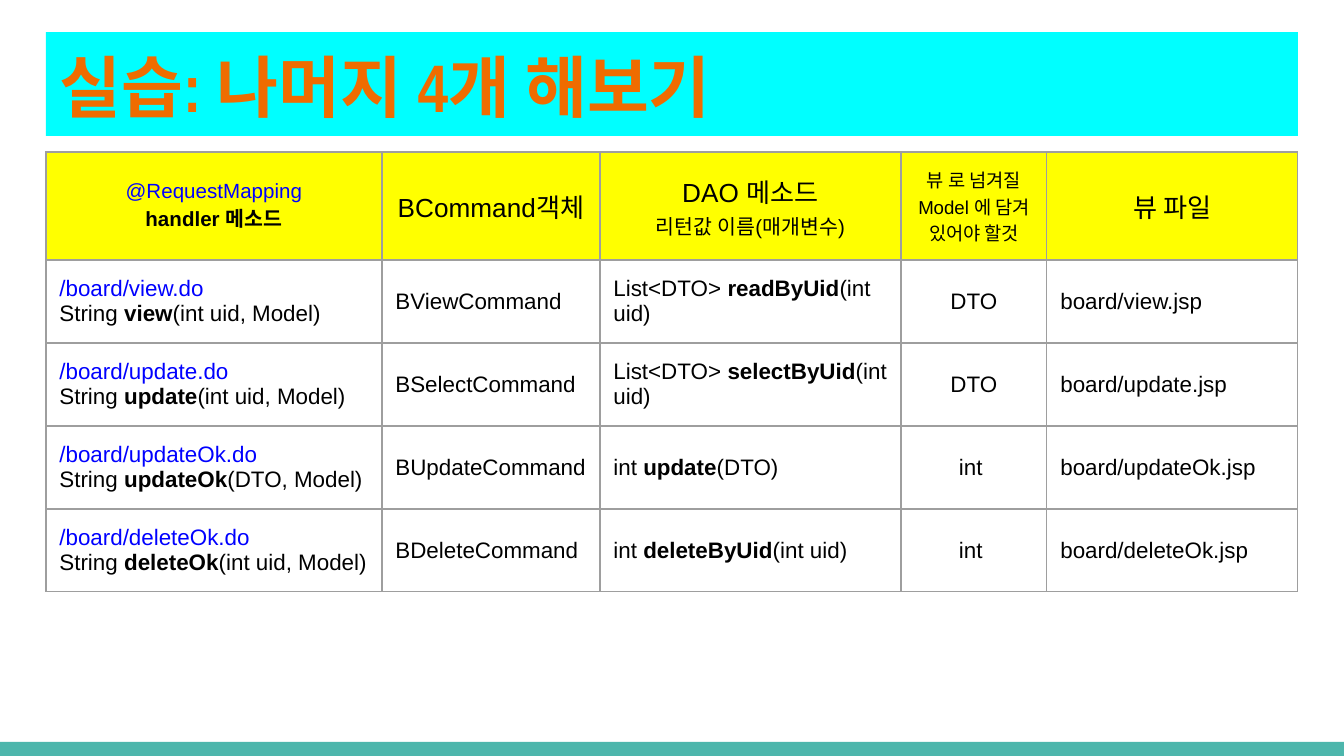
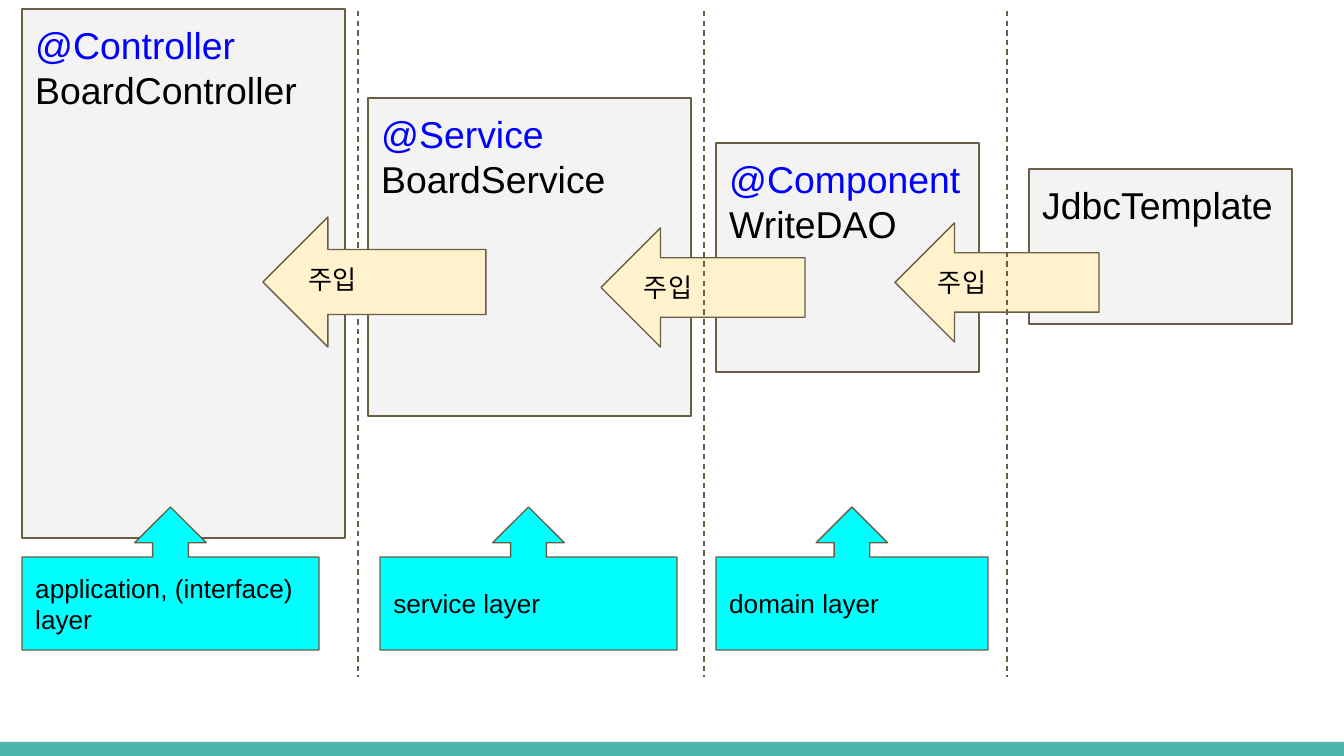
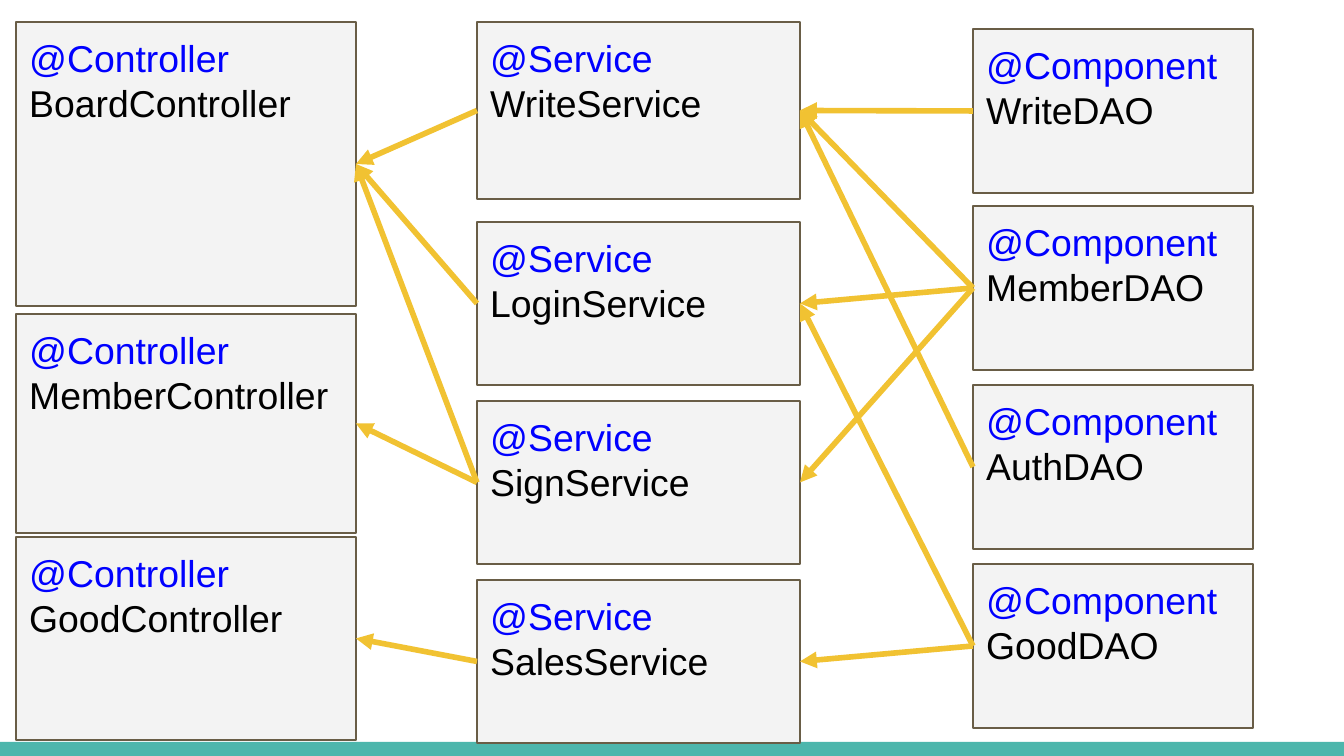
from copy import deepcopy

from pptx import Presentation, util as u
from pptx.dml.color import RGBColor
from pptx.enum import dml, shapes, text
from pptx.oxml import parse_xml
from pptx.oxml.ns import nsdecls, qn

SCALE = 914400 / 134.4
WIDTH, HEIGHT = 1344, 756
INSET = u.Inches(0.1)
FONT, TITLE_FONT = "Arial", "Arial Narrow"
COLORS = {
    "band": "4DB6AC", "cyan": "00FFFF", "yellow": "FFFF00", "title": "EF6C00",
    "blue": "0000FF", "black": "000000", "grid": "9E9E9E", "panel": "F3F3F3",
    "cream": "FFF2CC", "outline": "695D46", "gold": "F1C232",
}
SHAPE = shapes.MSO_SHAPE
TOP, MIDDLE = text.MSO_ANCHOR.TOP, text.MSO_ANCHOR.MIDDLE
LEFT, CENTER = text.PP_ALIGN.LEFT, text.PP_ALIGN.CENTER
LEFT_SIDE, RIGHT_SIDE = 1, 3


def px(length):
    return u.Emu(round(length * SCALE))


def place(box):
    return [px(length) for length in box]


def rgb(name):
    return RGBColor.from_string(COLORS[name])


def add_span(para, words, size, color="black", bold=False, font=FONT):
    span = para.add_run()
    span.text = words
    span.font.size = u.Pt(size)
    span.font.bold = bold
    span.font.color.rgb = rgb(color)
    span.font.name = font
    return span


def use_font_for_korean(span):
    span._r.rPr.append(parse_xml(
        f'<a:ea {nsdecls("a")} typeface="{span.font.name}"/>'))


def break_line(para, span):
    """Break the line at the size of the span before it."""
    para.add_line_break()
    para._p[-1].append(deepcopy(span._r.rPr))


def set_insets(holder):
    for side in ("left", "right", "top", "bottom"):
        setattr(holder, f"margin_{side}", INSET)


def prepare_frame(frame, anchor):
    set_insets(frame)
    frame.word_wrap = True
    frame.auto_size = text.MSO_AUTO_SIZE.NONE
    frame.vertical_anchor = anchor


def add_paragraphs(frame, lines, align=LEFT):
    """Write lines given as (words, size, color, bold), one per paragraph."""
    for index, line in enumerate(lines):
        para = frame.add_paragraph() if index else frame.paragraphs[0]
        para.alignment = align
        add_span(para, *line)


def add_figure(page, kind, box, fill, lines, anchor=TOP):
    figure = page.shapes.add_shape(kind, *place(box))
    figure.shadow.inherit = False
    figure.fill.solid()
    figure.fill.fore_color.rgb = rgb(fill)
    figure.line.color.rgb = rgb("outline")
    figure.line.width = u.Pt(0.75)
    prepare_frame(figure.text_frame, anchor)
    add_paragraphs(figure.text_frame, lines)
    for para in figure.text_frame.paragraphs:
        for span in para.runs:
            use_font_for_korean(span)
    return figure


def add_class_box(page, box, name, annotation=None):
    lines = [(name, 20, "black")]
    if annotation:
        lines.insert(0, (annotation, 20, "blue"))
    return add_figure(page, SHAPE.RECTANGLE, box, "panel", lines)


def add_line(page, ends, color, width):
    line = page.shapes.add_connector(shapes.MSO_CONNECTOR.STRAIGHT, *place(ends))
    line.line.color.rgb = rgb(color)
    line.line.width = u.Pt(width)
    line.element.spPr.append(parse_xml(f'<a:effectLst {nsdecls("a")}/>'))
    return line


def add_divider(page, x):
    line = add_line(page, (x, 11, x, 677), "outline", 0.75)
    line.line.dash_style = dml.MSO_LINE.DASH


def link(page, source, target):
    """Point an arrow from the left side of source to the right side of target."""
    arrow = add_line(page, (0, 0, 0, 0), "gold", 3)
    arrow.begin_connect(source, LEFT_SIDE)
    arrow.end_connect(target, RIGHT_SIDE)
    outline = arrow.element.spPr.find(qn("a:ln"))
    outline.append(parse_xml(f'<a:tailEnd {nsdecls("a")} type="triangle"/>'))


def add_master_band(deck, page):
    band = page.shapes.add_shape(SHAPE.RECTANGLE, *place((0, 742, WIDTH, 14)))
    band.shadow.inherit = False
    band.fill.solid()
    band.fill.fore_color.rgb = rgb("band")
    band.line.fill.background()
    deck.slide_master.shapes.element.insert(2, band.element)


def fill_title(page, box, words):
    title = page.shapes.title
    title.left, title.top, title.width, title.height = place(box)
    title.fill.solid()
    title.fill.fore_color.rgb = rgb("cyan")
    prepare_frame(title.text_frame, TOP)
    para = title.text_frame.paragraphs[0]
    para.alignment = LEFT
    use_font_for_korean(add_span(para, words, 36, "title", True, TITLE_FONT))


def style_cell(cell, fill=None):
    set_insets(cell)
    cell.vertical_anchor = MIDDLE
    properties = cell._tc.get_or_add_tcPr()
    for index, side in enumerate("LRTB"):
        properties.insert(index, parse_xml(
            f'<a:ln{side} {nsdecls("a")} w="{u.Pt(0.75)}"><a:solidFill>'
            f'<a:srgbClr val="{COLORS["grid"]}"/></a:solidFill></a:ln{side}>'))
    if fill:
        cell.fill.solid()
        cell.fill.fore_color.rgb = rgb(fill)
    else:
        cell.fill.background()


def write_signature(para, result, method, arguments):
    add_span(para, result + " ", 12)
    add_span(para, method, 12, bold=True)
    add_span(para, f"({arguments})", 12)


def add_mapping_table(page, left, top):
    headers = [
        [("@RequestMapping", 11, "blue"), ("handler 메소드", 11, "black", True)],
        [("BCommand객체", 14)],
        [("DAO 메소드", 14), ("리턴값 이름(매개변수)", 11)],
        [("뷰 로 넘겨질", 10), ("Model 에 담겨 있어야 할것", 10)],
        [("뷰 파일", 14)],
    ]
    mappings = [
        ("view", "int uid, Model", "BViewCommand",
         ("List<DTO>", "readByUid", "int uid"), "DTO"),
        ("update", "int uid, Model", "BSelectCommand",
         ("List<DTO>", "selectByUid", "int uid"), "DTO"),
        ("updateOk", "DTO, Model", "BUpdateCommand",
         ("int", "update", "DTO"), "int "),
        ("deleteOk", "int uid, Model", "BDeleteCommand",
         ("int", "deleteByUid", "int uid"), "int "),
    ]
    widths = (336, 218, 301, 146, 251)
    heights = [108] + [83] * len(mappings)
    table = page.shapes.add_table(len(heights), len(widths), *place(
        (left, top, sum(widths), sum(heights)))).table
    table.first_row = table.horz_banding = False
    for column, width in zip(table.columns, widths):
        column.width = px(width)
    for row, height in zip(table.rows, heights):
        row.height = px(height)

    for column, lines in enumerate(headers):
        cell = table.cell(0, column)
        style_cell(cell, "yellow")
        add_paragraphs(cell.text_frame, lines, CENTER)

    for row, (name, arguments, command, dao, model) in enumerate(mappings, 1):
        cells = list(table.rows[row].cells)
        for cell in cells:
            style_cell(cell)
        handler, command_para, dao_para, model_para, view = (
            cell.text_frame.paragraphs[0] for cell in cells)
        break_line(handler, add_span(handler, f"/board/{name}.do", 12, "blue"))
        write_signature(handler, "String", name, arguments)
        add_span(command_para, command, 12)
        write_signature(dao_para, *dao)
        model_para.alignment = CENTER
        add_span(model_para, model, 12)
        add_span(view, f"board/{name}.jsp", 12)


def build_practice(page):
    fill_title(page, (46, 32, 1252, 104), "실습: 나머지 4개 해보기")
    add_mapping_table(page, 46, 152)


def add_injection(page, box):
    add_figure(page, SHAPE.LEFT_ARROW, box, "cream", [("주입", 14)])


def add_layer(page, left, width, name):
    add_figure(page, SHAPE.UP_ARROW_CALLOUT, (left, 507, width, 143), "cyan",
               [(name, 14)], MIDDLE)


def build_layers(page):
    add_divider(page, 358)
    add_class_box(page, (22, 9, 323, 529), "BoardController", "@Controller")
    add_class_box(page, (368, 98, 323, 318), "BoardService", "@Service")
    add_class_box(page, (716, 143, 263, 229), "WriteDAO", "@Component")
    add_injection(page, (601, 228, 204, 119))
    add_injection(page, (263, 217, 223, 130))
    add_class_box(page, (1029, 169, 263, 155), "JdbcTemplate")
    add_injection(page, (895, 223, 204, 119))
    for x in (704, 1007):
        add_divider(page, x)
    add_layer(page, 22, 297, "application, (interface) layer")
    add_layer(page, 380, 297, "service layer")
    add_layer(page, 716, 272, "domain layer")


def add_class_column(page, left, width, annotation, members):
    """Stack class boxes given as (name, top, height) and return them by name."""
    return {name: add_class_box(page, (left, top, width, height), name, annotation)
            for name, top, height in members}


def build_dependencies(page):
    classes = {
        **add_class_column(page, 16, 340, "@Controller", [
            ("BoardController", 22, 284), ("MemberController", 314, 219),
            ("GoodController", 537, 203)]),
        **add_class_column(page, 477, 323, "@Service", [
            ("WriteService", 22, 177), ("LoginService", 222, 163),
            ("SignService", 401, 163), ("SalesService", 580, 163)]),
        **add_class_column(page, 973, 280, "@Component", [
            ("WriteDAO", 29, 164), ("MemberDAO", 206, 164),
            ("AuthDAO", 385, 164), ("GoodDAO", 564, 164)]),
    }
    users = {
        "WriteDAO": ["WriteService"],
        "MemberDAO": ["WriteService", "LoginService", "SignService"],
        "AuthDAO": ["WriteService"],
        "GoodDAO": ["SalesService", "LoginService"],
        "WriteService": ["BoardController"],
        "LoginService": ["BoardController"],
        "SignService": ["BoardController", "MemberController"],
        "SalesService": ["GoodController"],
    }
    for source, targets in users.items():
        for target in targets:
            link(page, classes[source], classes[target])


def main():
    deck = Presentation()
    deck.slide_width, deck.slide_height = px(WIDTH), px(HEIGHT)
    title_only, blank = deck.slide_layouts[5], deck.slide_layouts[6]
    pages = [deck.slides.add_slide(layout) for layout in (title_only, blank, blank)]
    add_master_band(deck, pages[0])
    for build, page in zip((build_practice, build_layers, build_dependencies), pages):
        build(page)
    deck.save("out.pptx")


if __name__ == "__main__":
    main()
